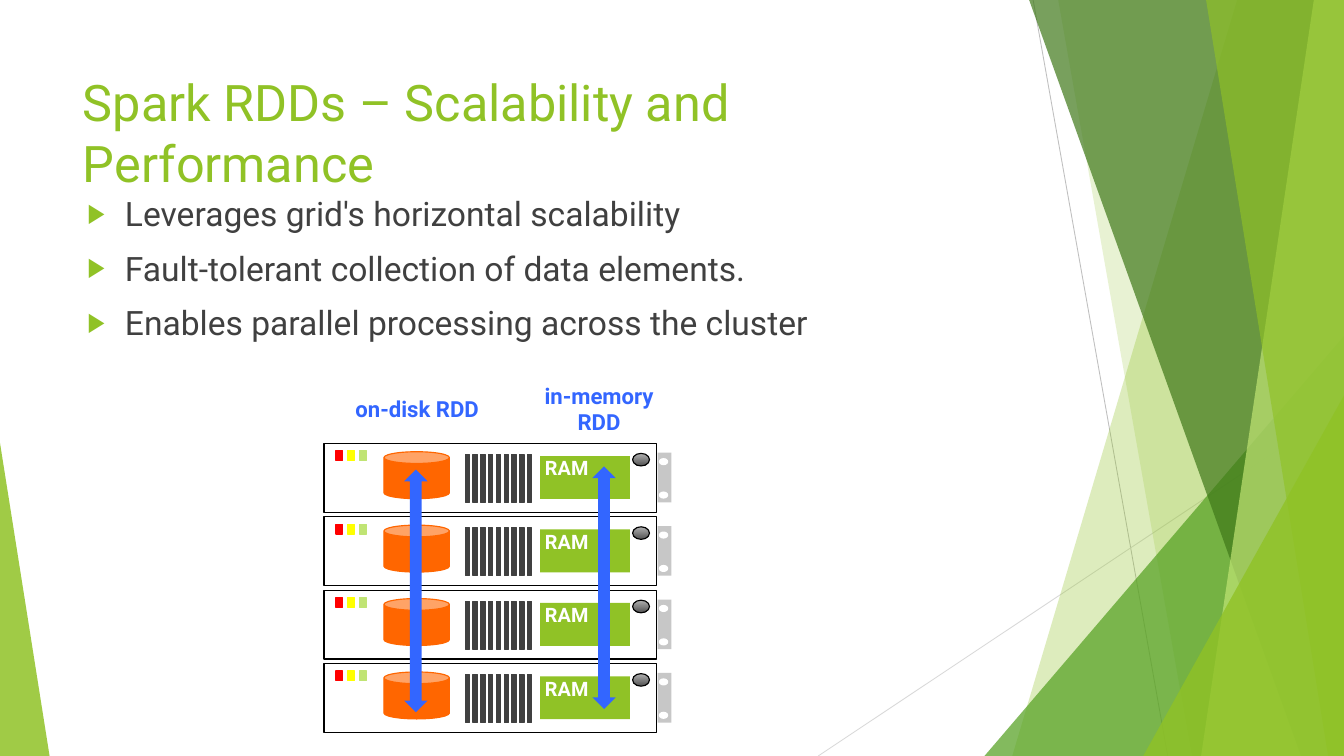
from dataclasses import dataclass

from lxml import etree
from pptx import Presentation
from pptx import util as u
from pptx.dml.color import RGBColor
from pptx.enum import shapes, text
from pptx.oxml.ns import qn

WIDTH, HEIGHT = 40.64, 22.86
SHAPE = shapes.MSO_SHAPE
ALIGN = text.PP_ALIGN
ANCHOR = text.MSO_ANCHOR


@dataclass(frozen=True)
class Theme:
    font: str = "Roboto"
    title_size: float = 43.2
    body_size: float = 28.8
    label_size: float = 19
    ram_size: float = 17
    green: str = "90C226"
    mid_green: str = "54A021"
    dark_green: str = "3F7819"
    pale_green: str = "C0E474"
    ink: str = "404040"
    blue: str = "3366FF"
    orange: str = "FF6600"
    red: str = "FF0000"
    yellow: str = "FFFF00"
    white: str = "FFFFFF"
    black: str = "000000"
    ear: str = "C7C7C7"
    knob_light: str = "B2B2B2"
    knob_dark: str = "5E5E5E"
    ray: str = "BFBFBF"
    pale_ray: str = "D9D9D9"


def rgb(color):
    return RGBColor.from_string(color)


class SlideBuilder:
    def __init__(self, slide, theme):
        self.items = slide.shapes
        self.theme = theme

    def paint(self, shape, fill, line=None, opacity=100):
        shape.shadow.inherit = False
        shape.fill.solid()
        shape.fill.fore_color.rgb = rgb(fill)
        if opacity < 100:
            color = shape._element.spPr.find(qn("a:solidFill"))[0]
            etree.SubElement(color, qn("a:alpha"), val=str(opacity * 1000))
        if line:
            shape.line.color.rgb = rgb(line)
            shape.line.width = u.Pt(1)
        else:
            shape.line.fill.background()
        return shape

    def shape(self, kind, left, top, width, height, fill, line=None, opacity=100):
        shape = self.items.add_shape(
            kind, u.Cm(left), u.Cm(top), u.Cm(width), u.Cm(height))
        return self.paint(shape, fill, line, opacity)

    def triangle(self, left, top, width, height, apex, fill, opacity):
        shape = self.shape(SHAPE.ISOSCELES_TRIANGLE, left, top, width, height,
                           fill, opacity=opacity)
        shape.adjustments[0] = apex

    def band(self, top_left, bottom_left, fill, opacity):
        """A full-height band that reaches the right edge of the slide."""
        builder = self.items.build_freeform(u.Cm(top_left), 0)
        corners = [(WIDTH, 0), (WIDTH, HEIGHT), (bottom_left, HEIGHT)]
        builder.add_line_segments([(u.Cm(x), u.Cm(y)) for x, y in corners])
        self.paint(builder.convert_to_shape(), fill, opacity=opacity)

    def line(self, x1, y1, x2, y2, color):
        line = self.items.add_connector(
            shapes.MSO_CONNECTOR.STRAIGHT, u.Cm(x1), u.Cm(y1), u.Cm(x2), u.Cm(y2))
        line.line.color.rgb = rgb(color)
        line.line.width = u.Pt(0.75)
        etree.SubElement(line._element.spPr, qn("a:effectLst"))

    def set_text(self, shape, lines, size, color, insets, bold=False,
                 align=ALIGN.LEFT, anchor=ANCHOR.TOP, bullets=False):
        frame = shape.text_frame
        frame.word_wrap = True
        frame.vertical_anchor = anchor
        (frame.margin_left, frame.margin_top,
         frame.margin_right, frame.margin_bottom) = map(u.Cm, insets)
        frame.text = "\n".join(lines)
        for index, para in enumerate(frame.paragraphs):
            para.alignment = align
            if bullets:
                self.bullet(para)
                para.space_before = u.Pt(12 if index else 0)
            for span in para.runs:
                span.font.name = self.theme.font
                span.font.size = u.Pt(size)
                span.font.bold = bold
                span.font.color.rgb = rgb(color)

    def bullet(self, para):
        props = para._p.get_or_add_pPr()
        props.set("marL", str(u.Cm(1.14)))
        props.set("indent", str(-u.Cm(1.14)))
        color = etree.SubElement(props, qn("a:buClr"))
        etree.SubElement(color, qn("a:srgbClr"), val=self.theme.green)
        etree.SubElement(props, qn("a:buSzPct"), val="80000")
        etree.SubElement(props, qn("a:buFont"), typeface="Arial")
        etree.SubElement(props, qn("a:buChar"), char="▶")

    def textbox(self, left, top, width, height, lines, size, color, insets, **style):
        box = self.items.add_textbox(
            u.Cm(left), u.Cm(top), u.Cm(width), u.Cm(height))
        self.set_text(box, lines, size, color, insets, **style)

    def server(self, top):
        theme = self.theme
        self.shape(SHAPE.RECTANGLE, 9.8, top, 10.06, 2.08, theme.white, theme.black)
        # Power knob
        knob = self.shape(SHAPE.OVAL, 19.13, top + 0.3, 0.51, 0.38,
                          theme.knob_light, theme.black)
        knob.fill.gradient()
        knob.fill.gradient_angle = 270
        stops = [(0, theme.knob_light), (0.88, theme.knob_dark)]
        for stop, (position, color) in zip(knob.fill.gradient_stops, stops):
            stop.position = position
            stop.color.rgb = rgb(color)
        # Status lights and vents
        for index, color in enumerate((theme.red, theme.yellow, theme.pale_green)):
            self.shape(SHAPE.RECTANGLE, 10.16 + 0.36 * index, top + 0.22, 0.2, 0.3,
                       color, color)
        for index in range(9):
            self.shape(SHAPE.RECTANGLE, 14.07 + 1.88 * index / 8, top + 0.33,
                       0.13, 1.45, theme.ink, theme.ink)
        # Rack ear with two holes
        self.shape(SHAPE.RECTANGLE, 19.89, top + 0.28, 0.41, 1.5, theme.ear)
        for offset in (0.46, 1.47):
            self.shape(SHAPE.OVAL, 19.94, top + offset, 0.25, 0.18,
                       theme.white, theme.white)
        # Disk and memory
        self.shape(SHAPE.CAN, 11.61, top + 0.25, 1.98, 1.42,
                   theme.orange, theme.orange)
        memory = self.shape(SHAPE.RECTANGLE, 16.33, top + 0.38, 2.72, 1.3, theme.green)
        self.set_text(memory, ["RAM"], theme.ram_size, theme.white,
                      (0.15, 0, 0.25, 0.25), bold=True)


def main():
    theme = Theme()
    deck = Presentation()
    deck.slide_width, deck.slide_height = u.Cm(WIDTH), u.Cm(HEIGHT)
    page = SlideBuilder(deck.slides.add_slide(deck.slide_layouts[6]), theme)

    # Green facets at the edges
    page.line(31.24, 0, 35.31, HEIGHT, theme.ray)
    page.line(WIDTH, 12.27, 24.74, HEIGHT, theme.pale_ray)
    page.band(37.41, 30.61, theme.green, 30)
    page.band(32, 36.04, theme.green, 20)
    page.triangle(29.77, 10.16, 10.87, 12.7, 1, theme.mid_green, 72)
    page.band(31.12, 39.34, theme.dark_green, 70)
    page.band(39.73, 36.32, theme.pale_green, 70)
    page.band(36.47, 40.16, theme.green, 65)
    page.triangle(34.57, 11.96, 6.07, 10.9, 1, theme.green, 80)
    page.triangle(0, 13.39, 1.5, 9.47, 0, theme.green, 85)

    # Title and bullets
    page.textbox(2.26, 2.03, 28.65, 4.39,
                 ["Spark RDDs – Scalability and Performance"],
                 theme.title_size, theme.green, (0.25, 0.13, 0.25, 0.13))
    page.textbox(2.34, 5.69, 36.58, 4.83,
                 ["Leverages grid's horizontal scalability",
                  "Fault-tolerant collection of data elements.",
                  "Enables parallel processing across the cluster"],
                 theme.body_size, theme.ink, (0.3, 0.15, 0.3, 0.15), bullets=True)

    # Server stack
    for index in range(4):
        page.server(13.41 + 2.22 * index)

    # RDD labels and the arrows that span the stack
    for left, width, label in ((10.39, 4.45, "on-disk RDD"),
                               (15.6, 5.03, "in-memory RDD")):
        page.textbox(left, 11.23, width, 2.26, [label], theme.label_size, theme.blue,
                     (0.25,) * 4, bold=True, align=ALIGN.CENTER, anchor=ANCHOR.MIDDLE)
    for left, top in ((12.22, 14.2), (17.91, 14.1)):
        page.shape(SHAPE.UP_DOWN_ARROW, left, top, 0.71, 7.34, theme.blue)

    deck.save("out.pptx")


if __name__ == "__main__":
    main()
